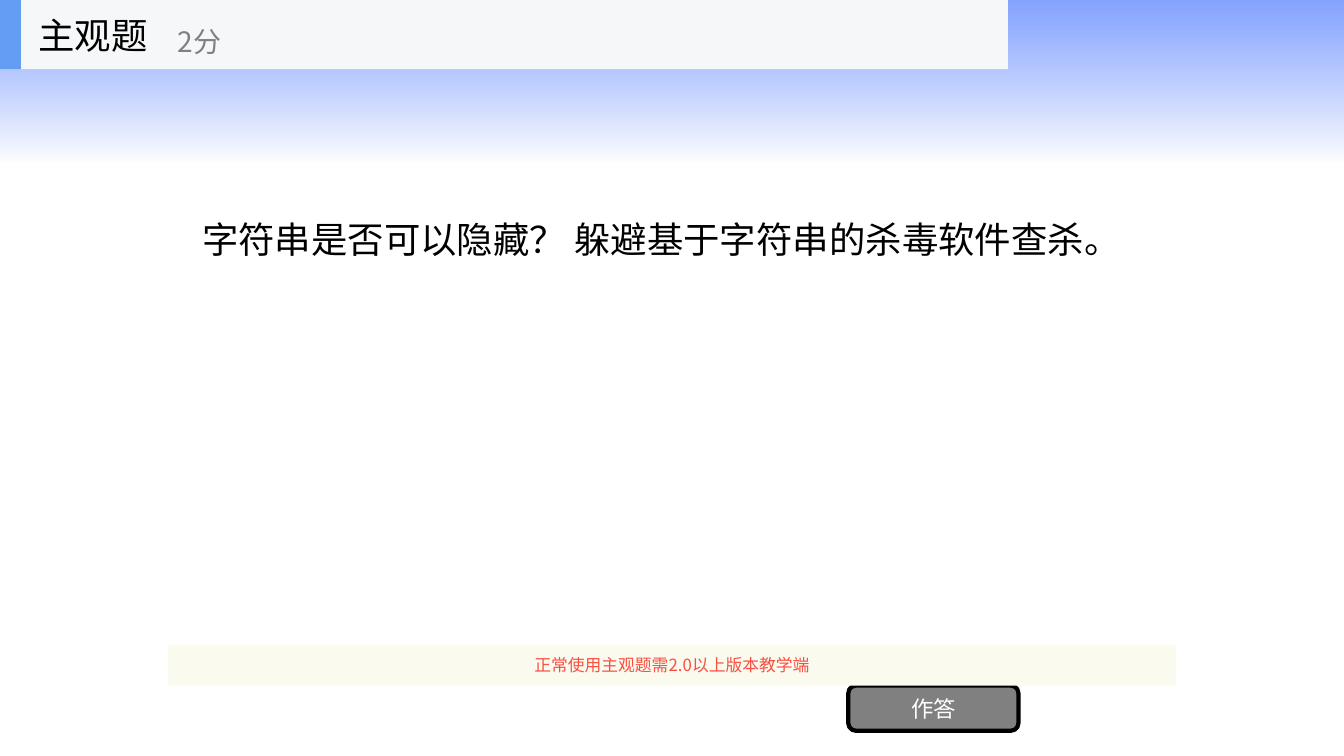
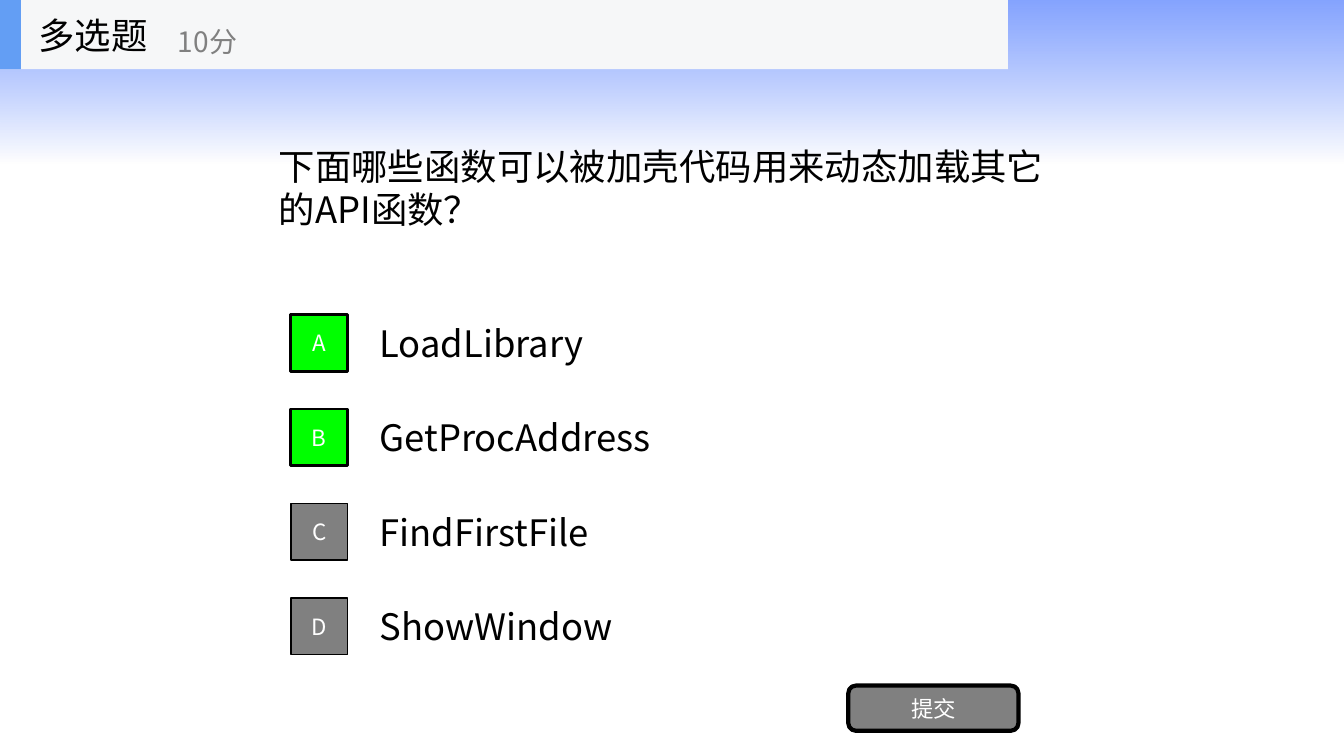
import lxml.etree
import pptx
import pptx.dml.color
import pptx.enum.shapes
import pptx.enum.text
import pptx.oxml.ns
import pptx.util

EMU_PER_PX = 9525
SLIDE_BOX = (0, 0, 1280, 720)
FONT = "Noto Sans CJK SC"
BLACK, WHITE, GREY, GREEN = "000000", "FFFFFF", "808080", "00FF00"
BAND_BLUE, BAR_GREY, ACCENT_BLUE = "3366FF", "F6F7F8", "639EF4"
NOTICE_CREAM, NOTICE_RED = "FBFAEF", "F84F41"
HEADER_HEIGHT = 66

RECTANGLE = pptx.enum.shapes.MSO_SHAPE.RECTANGLE
ROUNDED = pptx.enum.shapes.MSO_SHAPE.ROUNDED_RECTANGLE
LEFT = pptx.enum.text.PP_ALIGN.LEFT
CENTER = pptx.enum.text.PP_ALIGN.CENTER


def px(length):
    return pptx.util.Emu(round(length * EMU_PER_PX))


def color(hex_string):
    return pptx.dml.color.RGBColor.from_string(hex_string)


def write(shape, text, size, text_color, alignment=LEFT):
    """Fill a shape with one vertically centred paragraph."""
    frame = shape.text_frame
    frame.text = text
    frame.word_wrap = True
    frame.auto_size = pptx.enum.text.MSO_AUTO_SIZE.NONE
    frame.vertical_anchor = pptx.enum.text.MSO_ANCHOR.MIDDLE
    paragraph = frame.paragraphs[0]
    paragraph.alignment = alignment
    for run in paragraph.runs:
        run.font.size = pptx.util.Pt(size)
        run.font.color.rgb = color(text_color)
        run.font.name = FONT
        east_asian = lxml.etree.SubElement(
            run.font._element, pptx.oxml.ns.qn("a:ea"))
        east_asian.set("typeface", FONT)


def add_text(slide, box, text, size, text_color=BLACK):
    write(slide.shapes.add_textbox(*map(px, box)), text, size, text_color)


def add_block(slide, box, fill, kind=RECTANGLE, line_width=0):
    shape = slide.shapes.add_shape(kind, *map(px, box))
    shape.shadow.inherit = False
    shape.fill.solid()
    shape.fill.fore_color.rgb = color(fill)
    if line_width:
        shape.line.color.rgb = color(BLACK)
        shape.line.width = pptx.util.Pt(line_width)
    else:
        shape.line.fill.background()
    return shape


def add_backdrop(layout, slide, box):
    """Draw the shared band and header bar, then move them to the layout."""
    left, top, width, height = box
    band = add_block(slide, (left, top, width, 156), WHITE)
    band.fill.gradient()
    band.fill.gradient_angle = 270
    stops = zip(band.fill.gradient_stops, (BAND_BLUE, WHITE), (60, 70))
    for stop, stop_color, opacity in stops:
        stop.color.rgb = color(stop_color)
        rgb = stop._gs.find(pptx.oxml.ns.qn("a:srgbClr"))
        alpha = lxml.etree.SubElement(rgb, pptx.oxml.ns.qn("a:alpha"))
        alpha.set("val", str(opacity * 1000))
    bar = add_block(slide, (left, top, 960, HEADER_HEIGHT), BAR_GREY)
    accent = add_block(slide, (left, top, 20, HEADER_HEIGHT), ACCENT_BLUE)
    for shape in (band, bar, accent):
        layout.shapes._spTree.append(shape._element)


def add_header(slide, box, title_text, points):
    left, top, width, height = box
    title = slide.shapes.title
    title.left, title.top = px(left + 27), px(top)
    title.width, title.height = px(200), px(height)
    write(title, title_text, 26, BLACK)
    add_text(slide, (left + 160, top + 12, 240, height - 12), points, 20, GREY)


def add_button(slide, label):
    button = add_block(slide, (808, 653, 162, 43), GREY, ROUNDED, 3)
    write(button, label, 16, WHITE, CENTER)


def add_options(slide, box, options):
    """Stack lettered answers; correct ones get a green, heavier square."""
    left, top, width, height = box
    row_height, square = 67, 54
    pitch = (height - row_height) / (len(options) - 1)
    for index, (letter, answer, correct) in enumerate(options):
        row_top = top + index * pitch
        add_text(slide, (left + 75, row_top, width - 75, row_height), answer, 26)
        mark = add_block(
            slide, (left, row_top + (row_height - square) / 2, square, square),
            GREEN if correct else GREY, line_width=2 if correct else 1)
        write(mark, letter, 16, WHITE, CENTER)


def add_question_slide(presentation, title_text, points, question, question_box):
    slide = presentation.slides.add_slide(presentation.slide_layouts[5])
    add_header(slide, (0, 0, 960, HEADER_HEIGHT), title_text, points)
    add_text(slide, question_box, question, 26)
    return slide


def main():
    presentation = pptx.Presentation()
    presentation.slide_width, presentation.slide_height = map(px, SLIDE_BOX[2:])

    # Open question
    slide = add_question_slide(
        presentation, "主观题", "2分",
        "字符串是否可以隐藏？ 躲避基于字符串的杀毒软件查杀。",
        (183, 115, 913, 225))
    add_backdrop(slide.slide_layout, slide, SLIDE_BOX)
    add_button(slide, "作答")
    notice = add_block(slide, (160, 614, 960, 39), NOTICE_CREAM)
    write(notice, "正常使用主观题需2.0以上版本教学端", 12, NOTICE_RED, CENTER)

    # Multiple choice
    slide = add_question_slide(
        presentation, "多选题", "10分",
        "下面哪些函数可以被加壳代码用来动态加载其它的API函数？",
        (256, 66, 768, 225))
    add_options(slide, (277, 293, 747, 337), [
        ("A", "LoadLibrary", True),
        ("B", "GetProcAddress", True),
        ("C", "FindFirstFile", False),
        ("D", "ShowWindow", False),
    ])
    add_button(slide, "提交")

    presentation.save("out.pptx")


if __name__ == "__main__":
    main()
